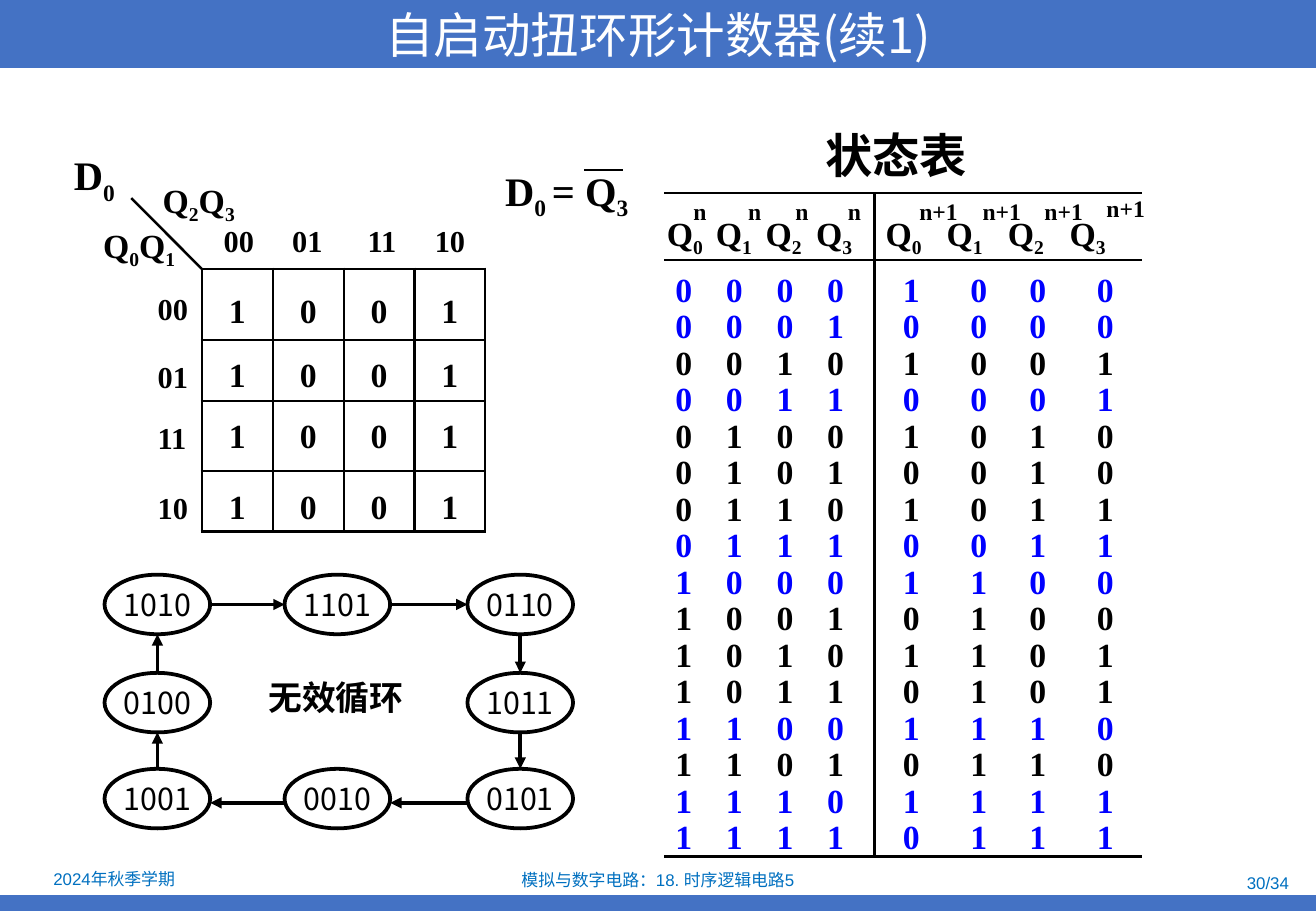
import itertools
from dataclasses import dataclass

import lxml.etree
import pptx
import pptx.dml.color
import pptx.enum.shapes
import pptx.enum.text
import pptx.oxml.ns
import pptx.util

Pt = pptx.util.Pt
ALIGN = pptx.enum.text.PP_ALIGN
ANCHOR = pptx.enum.text.MSO_ANCHOR
SHAPE = pptx.enum.shapes.MSO_SHAPE
qn = pptx.oxml.ns.qn


@dataclass(frozen=True)
class Theme:
    bar: str = "4472C4"
    footer: str = "0070C0"
    ink: str = "000000"
    valid: str = "0000FF"
    white: str = "FFFFFF"
    serif: str = "Times New Roman"
    sans: str = "Arial"
    cjk: str = "Noto Sans CJK SC"
    title: float = 28.8
    heading: float = 28
    formula: float = 24
    body: float = 20
    label: float = 18
    power: float = 14
    small: float = 10
    thin: float = 1.5
    thick: float = 2.25


THEME = Theme()

# Content: in a tuple, every second piece is a subscript
TITLE = "自启动扭环形计数器(续1)"
FOOTERS = [  # text, left, top, width, alignment
    ("2024年秋季学期", 1.4, 513.4, 132.5, ALIGN.CENTER),
    ("模拟与数字电路：18. 时序逻辑电路5", 266.4, 514, 247, ALIGN.CENTER),
    ("30/34", 589, 515.5, 182, ALIGN.RIGHT),
]
GRAY_CODE = ["00", "01", "11", "10"]
MAP_ROW = ["1", "0", "0", "1"]
FORMULAS = [  # pieces, left, top, width, size
    (("D", "0"), 36.7, 85.7, 39.6, THEME.formula),
    (("Q", "2", "Q", "3"), 89.3, 103, 58.3, THEME.body),
    (("Q", "0", "Q", "1"), 54, 129.6, 58.3, THEME.body),
    (("D", "0 ", "= Q", "3"), 292.3, 95, 90, THEME.formula),
]
HEADINGS = [  # text, left, top, width, size
    ("状态表", 481.7, 71.3, 98.6, THEME.heading),
    ("无效循环", 151.9, 397.4, 94.3, THEME.body),
]
# State, column and row of each oval, in order round the loop
LOOP = [("1010", 0, 0), ("1101", 1, 0), ("0110", 2, 0), ("1011", 2, 1),
        ("0101", 2, 2), ("0010", 1, 2), ("1001", 0, 2), ("0100", 0, 1)]
STATES = list(itertools.product((0, 1), repeat=4))
VALID = {"0000", "1000", "1100", "1110", "1111", "0111", "0011", "0001"}

# Geometry
MAP_LEFT, MAP_TOP = 119.5, 159.3
MAP_WIDTHS = [42.2, 42, 42, 42]
MAP_HEIGHTS = [42.2, 36, 41.6, 36]
MAP_INSETS = [9.6, 7.4, 2, 8.6]
MAP_LABEL_CENTRES = [141.6, 182.2, 226.4, 266.7]
MAP_LABEL_TOPS = [168.5, 208.8, 244.8, 286.6]
TABLE_LEFT, TABLE_TOP = 393.8, 114.5
TABLE_WIDTHS = [30, 30, 30, 34.6, 40, 35, 40, 43.4]
TABLE_HEIGHTS = [39.6, 29.2] + [21.57] * 15
HEADER_INSETS = [1.5, 0.5, 0, 0, 6.6, 2.8, 4, 0.6]
POWERS = [("n", 403.9), ("n", 436.3), ("n", 464.4), ("n", 495.4),
          ("n+1", 537.8), ("n+1", 575.3), ("n+1", 612), ("n+1", 648.7)]
OVAL_X, OVAL_Y = [93.3, 200, 308.4], [358.3, 416.5, 473.4]
OVAL_WIDTH, OVAL_HEIGHT = 62.6, 35.3


def rgb(value):
    return pptx.dml.color.RGBColor.from_string(value)


def write(frame, content, size, font=THEME.serif, color=THEME.ink, bold=True,
          align=ALIGN.LEFT):
    paragraph = frame.paragraphs[0]
    paragraph.alignment = align
    pieces = (content,) if isinstance(content, str) else content
    for index, piece in enumerate(pieces):
        run = paragraph.add_run()
        run.text = piece
        if index % 2:
            run.font._element.set("baseline", "-25000")
    paragraph.font.name = font
    paragraph.font.size = Pt(size)
    paragraph.font.bold = bold
    paragraph.font.color.rgb = rgb(color)
    return paragraph


def add_text(slide, content, left, top, width, height, size, **style):
    box = slide.shapes.add_textbox(Pt(left), Pt(top), Pt(width), Pt(height))
    box.text_frame.word_wrap = False
    write(box.text_frame, content, size, **style)
    return box


def add_line(slide, start, end, width, arrow=False):
    line = slide.shapes.add_connector(
        pptx.enum.shapes.MSO_CONNECTOR.STRAIGHT, *map(Pt, start + end))
    line.line.color.rgb = rgb(THEME.ink)
    line.line.width = Pt(width)
    if arrow:
        lxml.etree.SubElement(line.line._get_or_add_ln(), qn("a:tailEnd"), type="triangle")
    lxml.etree.SubElement(line._element.spPr, qn("a:effectLst"))


def add_grid(slide, left, top, widths, heights):
    grid = slide.shapes.add_table(
        len(heights), len(widths), Pt(left), Pt(top), Pt(sum(widths)), Pt(sum(heights))).table
    grid.first_row = grid.horz_banding = False
    for column, width in zip(grid.columns, widths):
        column.width = Pt(width)
    for row, height in zip(grid.rows, heights):
        row.height = Pt(height)
    return grid


def format_cell(cell, sides, left=0, top=0, anchor=ANCHOR.MIDDLE):
    """Rule the named sides (of L, R, T, B) and clear the fill."""
    properties = cell._tc.get_or_add_tcPr()
    for side in "LRTB":
        border = lxml.etree.SubElement(
            properties, qn("a:ln" + side), w=str(Pt(THEME.thin)))
        if side in sides:
            fill = lxml.etree.SubElement(border, qn("a:solidFill"))
            lxml.etree.SubElement(fill, qn("a:srgbClr"), val=THEME.ink)
        else:
            lxml.etree.SubElement(border, qn("a:noFill"))
    cell.fill.background()
    cell.margin_left, cell.margin_top = Pt(left), Pt(top)
    cell.margin_right = cell.margin_bottom = 0
    cell.vertical_anchor = anchor


def add_frame(slide):
    title = slide.shapes.title
    title.left, title.top, title.width, title.height = 0, 0, Pt(780), Pt(40.3)
    title.fill.solid()
    title.fill.fore_color.rgb = rgb(THEME.bar)
    title.text_frame.vertical_anchor = ANCHOR.MIDDLE
    write(title.text_frame, TITLE, THEME.title, font=THEME.cjk, color=THEME.white,
          bold=False, align=ALIGN.CENTER)
    bar = slide.shapes.add_shape(SHAPE.RECTANGLE, 0, Pt(530.6), Pt(780), Pt(9.4))
    bar.shadow.inherit = False
    bar.fill.solid()
    bar.fill.fore_color.rgb = rgb(THEME.bar)
    bar.line.fill.background()
    for text, left, top, width, align in FOOTERS:
        box = add_text(slide, text, left, top, width, 15.5, THEME.small, font=THEME.sans,
                       color=THEME.footer, bold=False, align=align)
        box.text_frame.word_wrap = True
        box.text_frame.vertical_anchor = ANCHOR.MIDDLE


def add_karnaugh_map(slide):
    grid = add_grid(slide, MAP_LEFT, MAP_TOP, MAP_WIDTHS, MAP_HEIGHTS)
    for row, column in itertools.product(range(4), repeat=2):
        cell = grid.cell(row, column)
        format_cell(cell, "LRTB", top=MAP_INSETS[row])
        write(cell.text_frame, MAP_ROW[column], THEME.body, align=ALIGN.CENTER)
    for code, centre, top in zip(GRAY_CODE, MAP_LABEL_CENTRES, MAP_LABEL_TOPS):
        add_text(slide, code, centre - 16.2, 128.2, 32.4, 28.8, THEME.label, align=ALIGN.CENTER)
        add_text(slide, code, 86.4, top, 32.4, 28.8, THEME.label)
    add_line(slide, (77.8, 117.4), (MAP_LEFT, MAP_TOP), THEME.thin)


def add_state_table(slide):
    grid = add_grid(slide, TABLE_LEFT, TABLE_TOP, TABLE_WIDTHS, TABLE_HEIGHTS)
    divider = {3: "R", 4: "L"}
    for column, inset in enumerate(HEADER_INSETS):
        cell = grid.cell(0, column)
        format_cell(cell, "TB" + divider.get(column, ""), inset, 13.6, ANCHOR.TOP)
        write(cell.text_frame, ("Q", str(column % 4)), THEME.body).line_spacing = 0.9
    for row, state in enumerate(STATES, 1):
        following = (1 - state[3],) + state[:3]
        color = THEME.valid if "".join(map(str, state)) in VALID else THEME.ink
        rules = {1: "T", len(STATES): "B"}.get(row, "")
        for column, bit in enumerate(state + following):
            cell = grid.cell(row, column)
            format_cell(cell, rules + divider.get(column, ""),
                        6.5 if column < 4 else 16.8, anchor=ANCHOR.BOTTOM)
            write(cell.text_frame, str(bit), THEME.body, color=color).line_spacing = 0.9
    for index, (power, left) in enumerate(POWERS):
        add_text(slide, power, left, 111.6 if index == 7 else 113, 22.3 if power == "n" else 37.4,
                 23.8, THEME.power)


def add_loop(slide):
    for (state, column, row), (_, next_column, next_row) in zip(LOOP, LOOP[1:] + LOOP[:1]):
        x, y = OVAL_X[column], OVAL_Y[row]
        oval = slide.shapes.add_shape(
            SHAPE.OVAL, Pt(x - OVAL_WIDTH / 2), Pt(y - OVAL_HEIGHT / 2), Pt(OVAL_WIDTH), Pt(OVAL_HEIGHT))
        oval.shadow.inherit = False
        oval.fill.background()
        oval.line.color.rgb = rgb(THEME.ink)
        oval.line.width = Pt(THEME.thick)
        oval.text_frame.word_wrap = False
        oval.text_frame.vertical_anchor = ANCHOR.MIDDLE
        write(oval.text_frame, state, THEME.label, font=THEME.cjk, bold=False, align=ALIGN.CENTER)
        # Arrow from this oval's edge to the next one's
        dx = (next_column - column) * OVAL_WIDTH / 2
        dy = (next_row - row) * OVAL_HEIGHT / 2
        drop = 2.5 if row == next_row == 2 else 0
        add_line(slide, (x + dx, y + dy + drop),
                 (OVAL_X[next_column] - dx, OVAL_Y[next_row] - dy + drop), THEME.thick, arrow=True)


def main():
    presentation = pptx.Presentation()
    presentation.slide_width, presentation.slide_height = Pt(780), Pt(540)
    slide = presentation.slides.add_slide(presentation.slide_layouts[5])
    add_frame(slide)
    add_karnaugh_map(slide)
    add_state_table(slide)
    add_loop(slide)
    # Formulas, the bar over Q3, and headings
    for pieces, left, top, width, size in FORMULAS:
        add_text(slide, pieces, left, top, width, size * 1.5, size)
    add_line(slide, (346.3, 100.8), (369.4, 100.8), THEME.thin)
    for text, left, top, width, size in HEADINGS:
        add_text(slide, text, left, top, width, size * 1.5, size, font=THEME.sans, align=ALIGN.CENTER)
    presentation.save("out.pptx")


if __name__ == "__main__":
    main()
